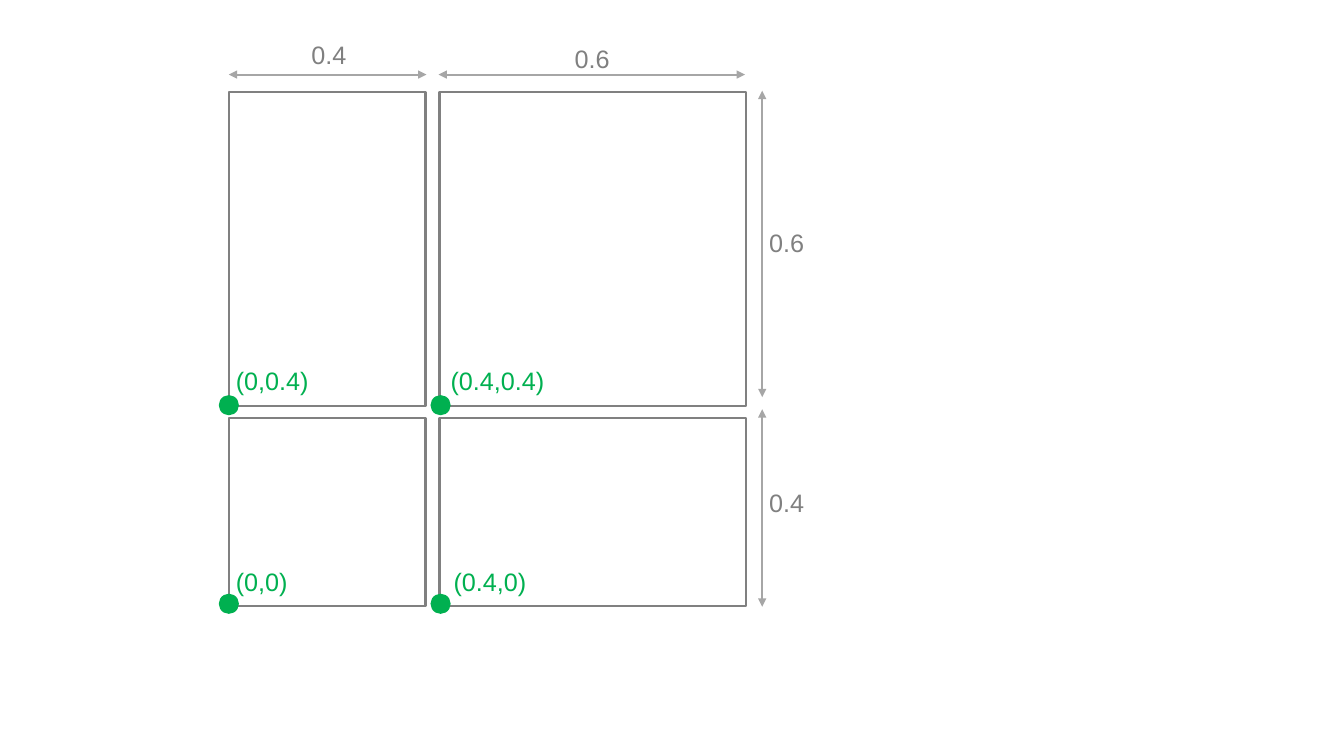
from collections import namedtuple

from lxml import etree
from pptx import Presentation
from pptx import util as u
from pptx.dml.color import RGBColor
from pptx.enum import shapes, text
from pptx.oxml.ns import qn

Theme = namedtuple("Theme", "paper frame arrow origin font size stroke")
theme = Theme(
    paper=RGBColor.from_string("FFFFFF"),
    frame=RGBColor.from_string("808080"),
    arrow=RGBColor.from_string("A6A6A6"),
    origin=RGBColor.from_string("00B050"),
    font="Arial",
    size=u.Pt(18),
    stroke=u.Pt(1.5),
)

# Grid: (left, width) of columns and (top, height) of rows, in inches
columns = [(2.27, 1.95), (4.36, 3.04)]
rows = [(0.91, 3.12), (4.15, 1.86)]

deck = Presentation()
deck.slide_width, deck.slide_height = u.Inches(13.33), u.Inches(7.5)
slide = deck.slides.add_slide(deck.slide_layouts[6])


def add_area(kind, box, fill=None, outline=None):
    area = slide.shapes.add_shape(kind, *map(u.Inches, box))
    area.shadow.inherit = False
    if fill is None:
        area.fill.background()
    else:
        area.fill.solid()
        area.fill.fore_color.rgb = fill
    if outline is None:
        area.line.fill.background()
    else:
        area.line.color.rgb = outline
        area.line.width = theme.stroke


def add_label(wording, left, top, width, color):
    label = slide.shapes.add_textbox(*map(u.Inches, (left, top, width, 0.4)))
    frame = label.text_frame
    frame.word_wrap = False
    frame.auto_size = text.MSO_AUTO_SIZE.SHAPE_TO_FIT_TEXT
    frame.text = wording
    font = frame.paragraphs[0].runs[0].font
    font.name, font.size, font.color.rgb = theme.font, theme.size, color


# White panel behind the layout
rectangle = shapes.MSO_SHAPE.RECTANGLE
add_area(rectangle, (1.89, 0.34, 6.19, 5.98), theme.paper, theme.paper)

# Four cells
for top, height in rows:
    for left, width in columns:
        add_area(rectangle, (left, top, width, height), outline=theme.frame)

# Coordinates of each cell's lower left corner
for wording, left, top, width in [
    ("(0,0)", 2.24, 5.57, 0.72),
    ("(0,0.4)", 2.24, 3.58, 0.93),
    ("(0.4,0.4)", 4.37, 3.58, 1.14),
    ("(0.4,0)", 4.4, 5.57, 0.93),
]:
    add_label(wording, left, top, width, theme.origin)

# Corner dots
dot = 0.2
for dot_left in (2.17, 4.27):
    for dot_top in (3.92, 5.89):
        add_area(shapes.MSO_SHAPE.OVAL, (dot_left, dot_top, dot, dot), theme.origin)

# Dimension arrows along the top and the right side
across, down = 0.74, 7.56
for ends in [
    (2.27, across, 4.23, across),
    (4.35, across, 7.39, across),
    (down, 6.02, down, 4.06),
    (down, 3.94, down, 0.9),
]:
    dimension = slide.shapes.add_connector(
        shapes.MSO_CONNECTOR.STRAIGHT, *map(u.Inches, ends))
    dimension.line.color.rgb = theme.arrow
    dimension.line.width = theme.stroke
    stroke = dimension.line._get_or_add_ln()
    for end in ("a:headEnd", "a:tailEnd"):
        etree.SubElement(stroke, qn(end), type="triangle")
    etree.SubElement(dimension._element.spPr, qn("a:effectLst"))

# Shares of width and height
for share, left, top in [
    ("0.4", 2.99, 0.34),
    ("0.6", 5.6, 0.38),
    ("0.6", 7.53, 2.21),
    ("0.4", 7.53, 4.79),
]:
    add_label(share, left, top, 0.55, theme.frame)

deck.save("out.pptx")
